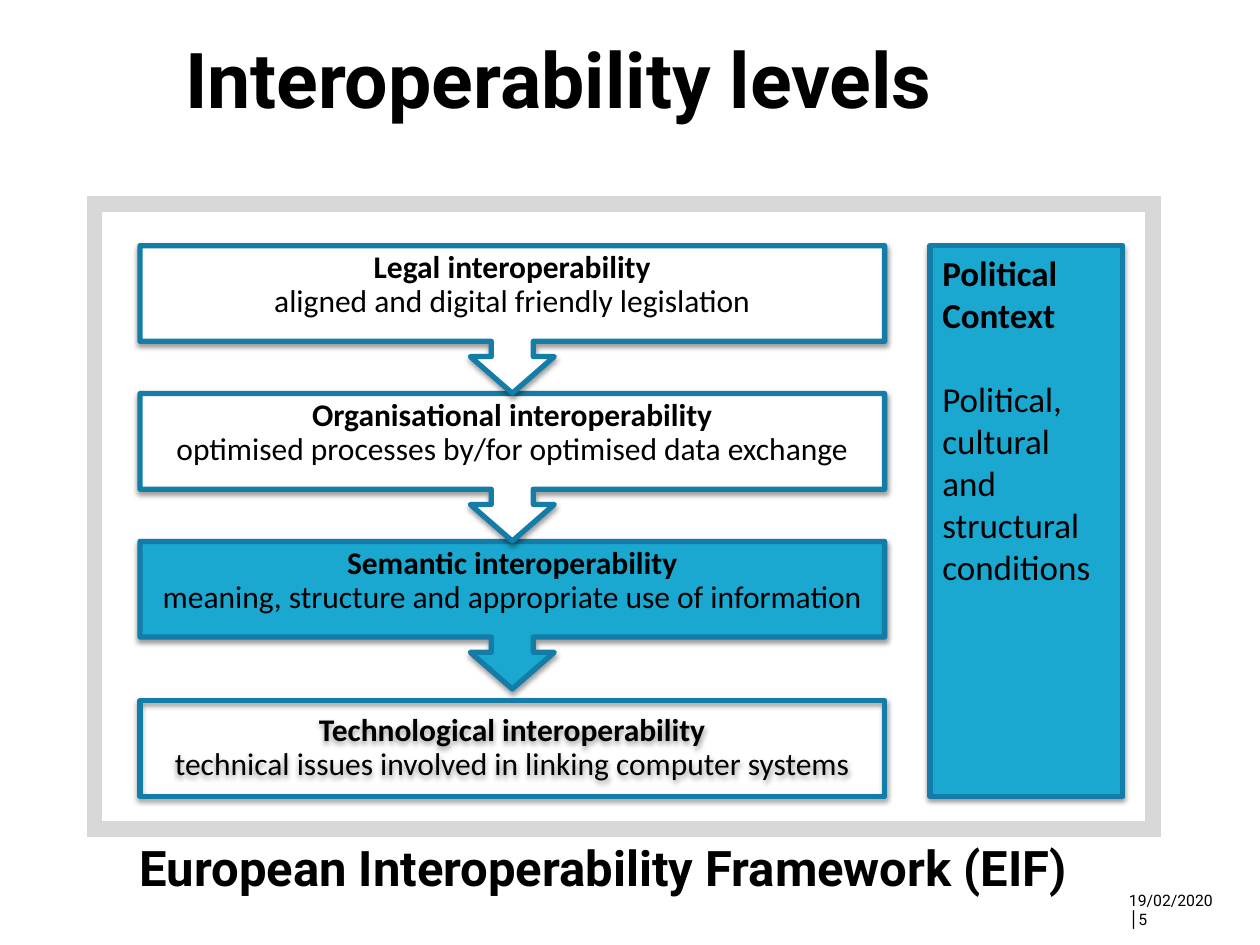
import pptx
import pptx.dml.color
import pptx.enum.shapes
import pptx.enum.text
import pptx.oxml
import pptx.oxml.ns
import pptx.util
from lxml import etree

Pt = pptx.util.Pt
ALIGN = pptx.enum.text.PP_ALIGN
ANCHOR = pptx.enum.text.MSO_ANCHOR
RECTANGLE = pptx.enum.shapes.MSO_SHAPE.RECTANGLE

BLACK = pptx.dml.color.RGBColor(0x00, 0x00, 0x00)
WHITE = pptx.dml.color.RGBColor(0xFF, 0xFF, 0xFF)
GREY = pptx.dml.color.RGBColor(0xD8, 0xD8, 0xD8)
CYAN = pptx.dml.color.RGBColor(0x1A, 0xA8, 0xD0)
BLUE = pptx.dml.color.RGBColor(0x13, 0x7D, 0xA7)

LEVEL_LEFT, LEVEL_TOP, LEVEL_WIDTH, LEVEL_HEIGHT = 80, 140.4, 425.5, 54.7
LEVEL_STEP = 84.5
LAST_LEVEL_TOP = 400.3
HALF_STEM, HALF_HEAD, STEM_BOTTOM, ARROW_TIP = 12, 24, 63.4, 84.3
LEVELS = [
    ("Legal interoperability", "aligned and digital friendly legislation", WHITE),
    ("Organisational interoperability",
     "optimised processes by/for optimised data exchange", WHITE),
    ("Semantic interoperability",
     "meaning, structure and appropriate use of information", CYAN),
    ("Technological interoperability",
     "technical issues involved in linking computer systems", None),
]
SHADOW = (
    f'<a:outerShdw {pptx.oxml.ns.nsdecls("a")} blurRad="39370" dist="20320" '
    'dir="5400000" rotWithShape="0"><a:srgbClr val="000000">'
    '<a:alpha val="38000"/></a:srgbClr></a:outerShdw>'
)


def apply_format(target, values):
    """Set every attribute in a dict of format values."""
    for name, value in values.items():
        setattr(target, name, value)


def format_frame(frame, margins, anchor=ANCHOR.TOP):
    """Set the margins (left, top, right, bottom), anchor and wrapping of a frame."""
    sides = ("margin_left", "margin_top", "margin_right", "margin_bottom")
    apply_format(frame, dict(zip(sides, map(Pt, margins))))
    apply_format(frame, {
        "word_wrap": True,
        "auto_size": pptx.enum.text.MSO_AUTO_SIZE.NONE,
        "vertical_anchor": anchor,
    })


def add_run(paragraph, text, size, name, bold):
    """Add one black run to a paragraph."""
    run = paragraph.add_run()
    run.text = text
    apply_format(run.font, {"size": Pt(size), "name": name, "bold": bold})
    run.font.color.rgb = BLACK


def style_shape(shape, fill, line, width):
    """Give a shape a fill, an outline and no shadow."""
    if fill is None:
        shape.fill.background()
    else:
        shape.fill.solid()
        shape.fill.fore_color.rgb = fill
    shape.line.color.rgb = line
    shape.line.width = Pt(width)
    shape.shadow.inherit = False


def add_soft_shadow(shape):
    """Add a soft shadow below a shape."""
    effects = shape._element.spPr.find(pptx.oxml.ns.qn("a:effectLst"))
    effects.append(pptx.oxml.parse_xml(SHADOW))


def add_frame(slide):
    """Add the thick grey frame with square corners."""
    shape = slide.shapes.add_shape(RECTANGLE, Pt(54), Pt(116.6), Pt(604.8), Pt(357.1))
    style_shape(shape, WHITE, GREY, 9)
    outline = shape._element.spPr.find(pptx.oxml.ns.qn("a:ln"))
    etree.SubElement(outline, pptx.oxml.ns.qn("a:miter"), lim="800000")


def add_level(slide, top, heading, detail, fill, has_arrow):
    """Add an interoperability level, with or without an arrow below it."""
    left, right = LEVEL_LEFT, LEVEL_LEFT + LEVEL_WIDTH
    center, bottom = LEVEL_LEFT + LEVEL_WIDTH / 2, top + LEVEL_HEIGHT
    points = [(left, top), (right, top), (right, bottom)]
    if has_arrow:
        stem = top + STEM_BOTTOM
        points += [
            (center + HALF_STEM, bottom), (center + HALF_STEM, stem),
            (center + HALF_HEAD, stem), (center, top + ARROW_TIP),
            (center - HALF_HEAD, stem), (center - HALF_STEM, stem),
            (center - HALF_STEM, bottom),
        ]
    points.append((left, bottom))
    corners = [(Pt(x), Pt(y)) for x, y in points]
    builder = slide.shapes.build_freeform(*corners[0])
    builder.add_line_segments(corners[1:], close=True)
    shape = builder.convert_to_shape()
    style_shape(shape, fill, BLUE, 3)
    add_soft_shadow(shape)
    format_frame(shape.text_frame, (10, 10, 10, 49 if has_arrow else 10), ANCHOR.MIDDLE)
    paragraph = shape.text_frame.paragraphs[0]
    apply_format(paragraph, {"alignment": ALIGN.CENTER, "line_spacing": 0.9})
    add_run(paragraph, heading, 18, "Calibri", True)
    paragraph.add_line_break()
    add_run(paragraph, detail, 18, "Calibri", False)


def add_context(slide):
    """Add the political context panel."""
    shape = slide.shapes.add_shape(RECTANGLE, Pt(531.4), Pt(140.4), Pt(110.2), Pt(314.6))
    style_shape(shape, CYAN, BLUE, 3)
    add_soft_shadow(shape)
    frame = shape.text_frame
    format_frame(frame, (7.2, 3.6, 7.2, 3.6))
    heading, detail = frame.paragraphs[0], frame.add_paragraph()
    heading.alignment = ALIGN.LEFT
    apply_format(detail, {"alignment": ALIGN.LEFT, "space_before": Pt(24)})
    add_run(heading, "Political Context", 20, "Calibri", True)
    add_run(detail, "Political, cultural and structural conditions", 20, "Calibri", False)


def fill_text(shape, runs, size, alignment=ALIGN.LEFT):
    """Write (text, bold) runs into a title or text box."""
    format_frame(shape.text_frame, (3.6, 3.6, 3.6, 3.6))
    paragraph = shape.text_frame.paragraphs[0]
    paragraph.alignment = alignment
    for text, bold in runs:
        add_run(paragraph, text, size, "Roboto", bold)


def add_title(slide, text):
    """Place and fill the title placeholder."""
    title = slide.shapes.title
    apply_format(title, {
        "left": Pt(102.2), "top": Pt(14.4), "width": Pt(583.9), "height": Pt(87.8),
    })
    fill_text(title, [(text, True)], 44)


def add_text(slide, bounds, runs, size, alignment=ALIGN.LEFT):
    """Add a text box at bounds given in points."""
    fill_text(slide.shapes.add_textbox(*map(Pt, bounds)), runs, size, alignment)


def main():
    """Build and save the interoperability slide."""
    presentation = pptx.Presentation()
    apply_format(presentation, {"slide_width": Pt(720), "slide_height": Pt(540)})
    slide = presentation.slides.add_slide(presentation.slide_layouts[5])
    add_title(slide, "Interoperability levels")
    add_frame(slide)
    add_context(slide)
    last = len(LEVELS) - 1
    for index, level in reversed(list(enumerate(LEVELS))):
        top = LAST_LEVEL_TOP if index == last else LEVEL_TOP + index * LEVEL_STEP
        add_level(slide, top, *level, has_arrow=index < last)
    add_text(slide, (76.3, 475.2, 589.7, 54.7),
             [("European Interoperability Framework (EIF)", True)], 28)
    add_text(slide, (641.5, 505.4, 66.2, 18),
             [("19/02/2020 ", False), ("│", True), ("5", False)], 9, ALIGN.JUSTIFY)
    presentation.save("out.pptx")


if __name__ == "__main__":
    main()
